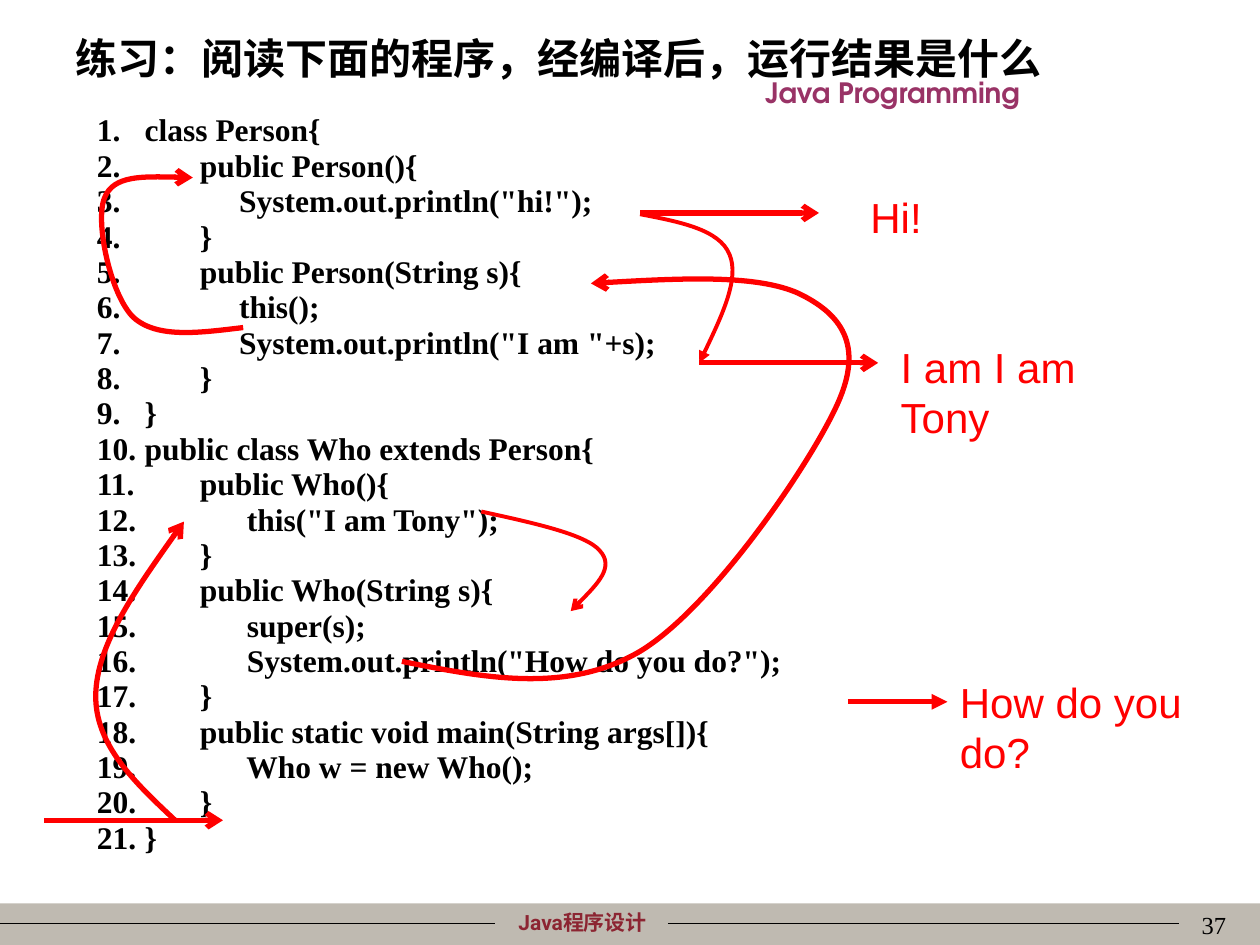
from lxml import etree
from pptx import Presentation
from pptx.dml.color import RGBColor
from pptx.enum import shapes, text
from pptx.oxml.ns import qn
from pptx.util import Inches, Pt

THEME = {
    "ink": "000000", "red": "FF0000", "band": "BFBAB1",
    "course": "8C2532", "brand": "993366",
    "code_size": 18, "title_size": 24, "label_size": 24,
    "brand_size": 16, "course_size": 12, "number_size": 14,
    "thick": 3, "medium": 2.25, "thin": 0.75,
    "serif": "Times New Roman", "sans": "Arial", "cjk": "Noto Sans CJK SC",
    "course_font": "Roboto", "brand_font": "TeX Gyre Adventor",
}

TITLE = "练习：阅读下面的程序，经编译后，运行结果是什么"
CODE = """class Person{
       public Person(){
            System.out.println("hi!");
       }
       public Person(String s){
            this();
            System.out.println("I am "+s);
       }
}
public class Who extends Person{
       public Who(){
             this("I am Tony");
       }
       public Who(String s){
             super(s);
             System.out.println("How do you do?");
       }
       public static void main(String args[]){
             Who w = new Who();
       }
}""".split("\n")

FOOTER_RULES = [(0, 3.93), (5.3, 9.36)]
MAIN_ARROW = ((0.35, 6.51), (1.77, 6.51))

CALLS = [
    ("thick", "arrow", [(1.39, 6.51), (1.07, 6.21), (0.75, 5.91), (0.76, 5.51),
                        (0.77, 5.12), (1.11, 4.63), (1.46, 4.14)]),
    ("thick", "arrow", [(3.19, 5.25), (3.84, 5.38), (4.5, 5.51), (5.08, 5.17),
                        (5.66, 4.82), (6.44, 3.67), (6.65, 3.2),
                        (6.86, 2.73), (6.67, 2.49), (6.34, 2.33),
                        (6.01, 2.18), (5.35, 2.21), (4.69, 2.25)]),
    ("thick", "arrow", [(1.93, 2.6), (1.59, 2.64), (1.25, 2.69), (1.06, 2.52),
                        (0.88, 2.35), (0.75, 1.76), (0.83, 1.57),
                        (0.9, 1.39), (1.22, 1.4), (1.53, 1.41)]),
    ("medium", "triangle", [(5.08, 1.7), (5.39, 1.76), (5.71, 1.82), (5.79, 2.02),
                            (5.87, 2.21), (5.71, 2.55), (5.55, 2.88)]),
    ("medium", "arrow", [(3.82, 4.06), (4.23, 4.15), (4.65, 4.24), (4.76, 4.37),
                         (4.88, 4.5), (4.7, 4.68), (4.53, 4.85)]),
]

OUTPUTS = [
    ("Hi!", (5.08, 1.69), (6.5, 1.69), "arrow", (6.81, 1.47, 2.33, 0.5)),
    ("I am I am Tony", (5.55, 2.88), (6.97, 2.88), "arrow", (7.05, 2.66, 2.33, 0.9)),
    ("How do you do?", (6.73, 5.57), (7.52, 5.57), "triangle", (7.52, 5.32, 2.33, 0.9)),
]


def color(name):
    return RGBColor.from_string(THEME[name])


def add_text(parent, box, lines, font, size, ink, bold=False, align=None):
    tb = parent.add_textbox(*map(Inches, box))
    tf = tb.text_frame
    tf.word_wrap = True
    tf.text = "\n".join(lines)
    for p in tf.paragraphs:
        p.alignment = align
        for r in p.runs:
            r.font.name = THEME[font]
            r.font.size = Pt(THEME[size])
            r.font.bold = bold
            r.font.color.rgb = color(ink)
            ea = etree.SubElement(r.font._element, qn("a:ea"))
            ea.set("typeface", THEME["cjk"])
    return tf


def style_line(sp, ink, weight, head=None):
    sp.line.color.rgb = color(ink)
    sp.line.width = Pt(THEME[weight])
    props = sp._element.spPr
    if head:
        etree.SubElement(props.find(qn("a:ln")), qn("a:tailEnd"), type=head)
    etree.SubElement(props, qn("a:effectLst"))


def add_line(parent, start, end, ink, weight, head=None):
    line = parent.add_connector(shapes.MSO_CONNECTOR.STRAIGHT, *map(Inches, start + end))
    style_line(line, ink, weight, head)


def add_curve(parent, points, weight, head):
    start, *rest = [(Inches(x), Inches(y)) for x, y in points]
    builder = parent.build_freeform(*start)
    builder.add_line_segments(rest, close=False)
    sp = builder.convert_to_shape()
    sp.fill.background()
    style_line(sp, "red", weight, head)
    path = sp._element.spPr.find(".//" + qn("a:path"))
    segments = path.findall(qn("a:lnTo"))
    for i in range(0, len(segments), 3):
        bezier = etree.SubElement(path, qn("a:cubicBezTo"))
        for segment in segments[i:i + 3]:
            bezier.append(segment[0])
            path.remove(segment)


def number_lines(tf):
    for i, p in enumerate(tf.paragraphs):
        p.line_spacing = 0.7
        p.space_before = Pt(5.1 if i else 0)
        props = p._p.get_or_add_pPr()
        props.set("marL", str(Inches(0.38)))
        props.set("indent", str(-Inches(0.38)))
        etree.SubElement(props, qn("a:buFont"), typeface=THEME["serif"])
        etree.SubElement(props, qn("a:buAutoNum"), type="arabicPeriod")


def add_footer(parent):
    band = parent.add_shape(shapes.MSO_SHAPE.RECTANGLE, *map(Inches, (0, 7.17, 10, 0.33)))
    band.shadow.inherit = False
    band.fill.solid()
    band.fill.fore_color.rgb = color("band")
    band.line.fill.background()
    add_text(parent, (3.62, 7.17, 2.01, 0.3), ["Java程序设计"], "course_font",
             "course_size", "course", True, text.PP_ALIGN.CENTER)
    for left, right in FOOTER_RULES:
        add_line(parent, (left, 7.33), (right, 7.33), "ink", "thin")


def main():
    prs = Presentation()
    prs.slide_width, prs.slide_height = Inches(10), Inches(7.5)
    s = prs.slides.add_slide(prs.slide_layouts[6]).shapes

    add_footer(s)
    add_text(s, (5.08, 0.55, 4.01, 0.37), ["Java Programming"], "brand_font",
             "brand_size", "brand", True, text.PP_ALIGN.CENTER)
    add_text(s, (7.75, 7.17, 2.08, 0.5), ["37"], "serif", "number_size", "ink",
             align=text.PP_ALIGN.RIGHT)
    title = add_text(s, (0.5, 0.18, 9, 0.53), [TITLE], "cjk", "title_size", "ink", True)
    title.vertical_anchor = text.MSO_ANCHOR.BOTTOM
    number_lines(add_text(s, (0.67, 0.91, 9.08, 6.13), CODE, "serif", "code_size", "ink", True))

    add_line(s, *MAIN_ARROW, "red", "thick", "arrow")
    for weight, head, points in CALLS:
        add_curve(s, points, weight, head)
    for label, start, end, head, box in OUTPUTS:
        group = s.add_group_shape().shapes
        add_line(group, start, end, "red", "thick", head)
        add_text(group, box, [label], "sans", "label_size", "red")

    prs.save("out.pptx")


if __name__ == "__main__":
    main()
